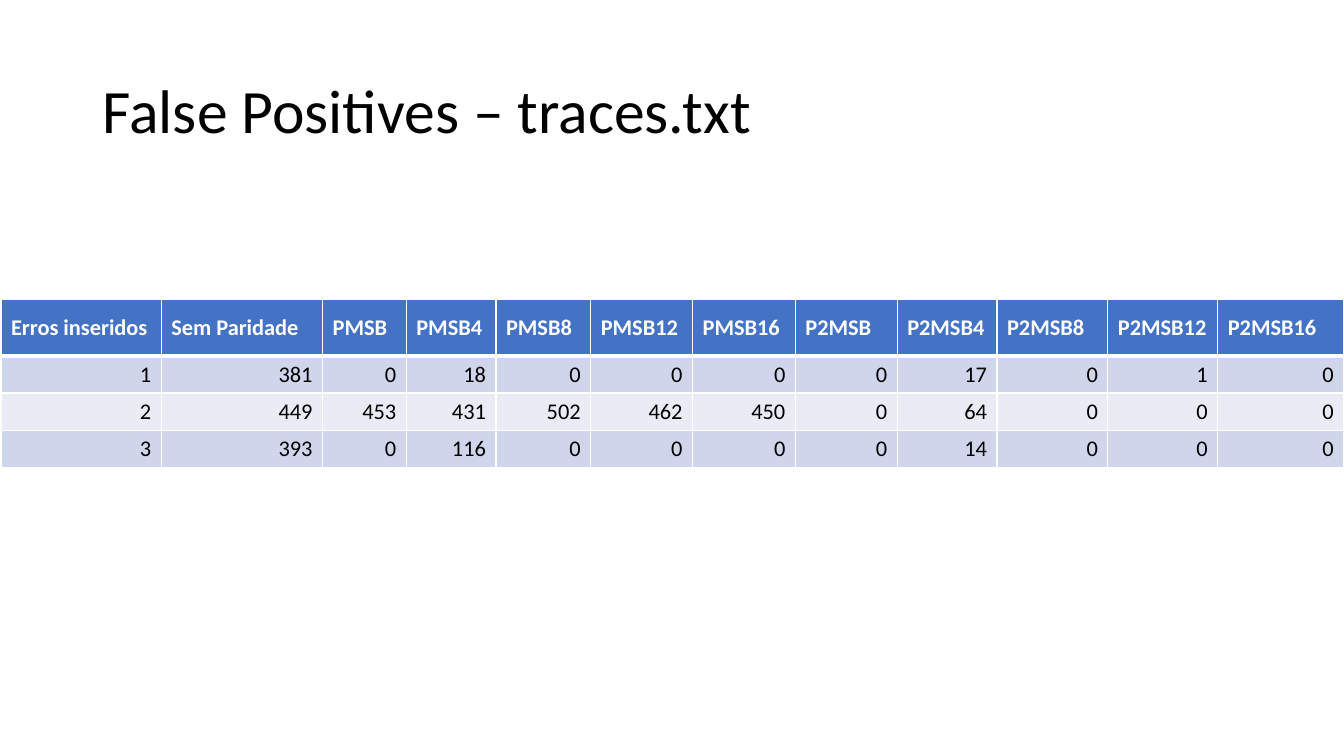
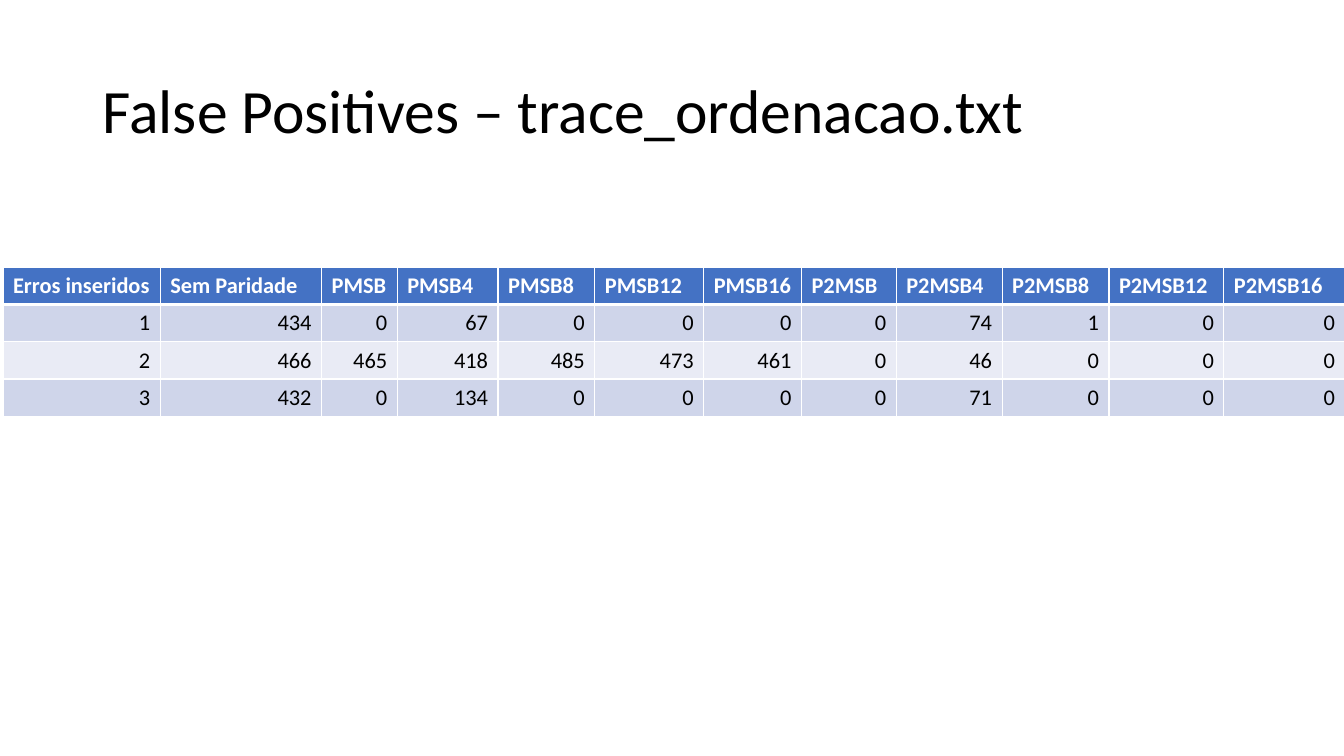
from dataclasses import dataclass

from lxml.etree import SubElement
from pptx import Presentation
from pptx.dml.color import RGBColor
from pptx.enum.text import MSO_ANCHOR, PP_ALIGN
from pptx.oxml.ns import qn
from pptx.slide import Slide
from pptx.table import _Cell as Cell
from pptx.text.text import _Paragraph as Paragraph
from pptx.util import Inches, Pt

COLORS = {
    "text": "000000",
    "header": "4472C4",
    "header_text": "FFFFFF",
    "odd_row": "CFD5EA",
    "even_row": "E9EBF5",
    "border": "FFFFFF",
}
FONT = "Calibri"
TITLE_SIZE, CELL_SIZE = 44, 16
THIN, THICK = 1, 3
ROW_HEIGHT = 0.37
PARITY_SCHEMES = [f"{prefix}{bits}" for prefix in ("PMSB", "P2MSB")
                  for bits in ("", 4, 8, 12, 16)]
HEADERS = ["Erros inseridos", "Sem Paridade", *PARITY_SCHEMES]


@dataclass
class ResultSlide:
    """False positives of one trace file, one row per number of errors."""
    trace: str
    left: float
    top: float
    header_height: float
    widths: list[float]
    counts: list[list[int]]


RESULTS = [
    ResultSlide(
        "traces.txt", 0.01, 2.97, 0.56,
        [1.59, 1.6, 0.83, 0.89, 0.94, 1.01, 1.02, 1.01, 0.99, 1.1, 1.09, 1.25],
        [[381, 0, 18, 0, 0, 0, 0, 17, 0, 1, 0],
         [449, 453, 431, 502, 462, 450, 0, 64, 0, 0, 0],
         [393, 0, 116, 0, 0, 0, 0, 14, 0, 0, 0]],
    ),
    ResultSlide(
        "trace_ordenacao.txt", 0.03, 2.65, ROW_HEIGHT,
        [1.56, 1.6, 0.75, 1, 0.96, 1.08, 0.97, 0.94, 1.05, 1.06, 1.14, 1.2],
        [[434, 0, 67, 0, 0, 0, 0, 74, 1, 0, 0],
         [466, 465, 418, 485, 473, 461, 0, 46, 0, 0, 0],
         [432, 0, 134, 0, 0, 0, 0, 71, 0, 0, 0]],
    ),
]


def format_runs(paragraph: Paragraph, size: int, color: str,
                bold: bool = False) -> None:
    """Apply the shared font to every run of a paragraph."""
    for run in paragraph.runs:
        run.font.name = FONT
        run.font.size = Pt(size)
        run.font.bold = bold
        run.font.color.rgb = RGBColor.from_string(COLORS[color])


def add_title(slide: Slide, text: str) -> None:
    """Add the slide title."""
    title = slide.shapes.add_textbox(
        Inches(0.92), Inches(0.4), Inches(11.5), Inches(1.45))
    frame = title.text_frame
    frame.text = text
    frame.word_wrap = True
    frame.vertical_anchor = MSO_ANCHOR.MIDDLE
    paragraph = frame.paragraphs[0]
    paragraph.line_spacing = 0.9
    format_runs(paragraph, TITLE_SIZE, "text")


def set_borders(cell: Cell, top: int, bottom: int) -> None:
    """Draw the four cell borders; call before the fill is set."""
    properties = cell._tc.get_or_add_tcPr()
    for side, width in (("L", THIN), ("R", THIN), ("T", top), ("B", bottom)):
        line = SubElement(properties, qn(f"a:ln{side}"), w=str(Pt(width)))
        fill = SubElement(line, qn("a:solidFill"))
        SubElement(fill, qn("a:srgbClr"), val=COLORS["border"])


def style_cell(cell: Cell, row: int) -> None:
    """Format a cell as header (row 0) or as banded body."""
    is_header = row == 0
    set_borders(cell, THICK if row == 1 else THIN, THICK if is_header else THIN)
    band = "header" if is_header else "odd_row" if row % 2 else "even_row"
    cell.fill.solid()
    cell.fill.fore_color.rgb = RGBColor.from_string(COLORS[band])
    cell.vertical_anchor = MSO_ANCHOR.MIDDLE
    paragraph = cell.text_frame.paragraphs[0]
    if is_header:
        cell.margin_right = Inches(0.05)
        format_runs(paragraph, CELL_SIZE, "header_text", bold=True)
    else:
        paragraph.alignment = PP_ALIGN.RIGHT
        format_runs(paragraph, CELL_SIZE, "text")


def add_result_table(slide: Slide, result: ResultSlide) -> None:
    """Add the table of false positives."""
    rows = [HEADERS]
    rows += [[errors, *counts] for errors, counts in enumerate(result.counts, 1)]
    heights = [result.header_height] + [ROW_HEIGHT] * len(result.counts)
    table = slide.shapes.add_table(
        len(rows), len(HEADERS), Inches(result.left), Inches(result.top),
        Inches(sum(result.widths)), Inches(sum(heights))).table
    for column, width in zip(table.columns, result.widths):
        column.width = Inches(width)
    for row, (values, height) in enumerate(zip(rows, heights)):
        table.rows[row].height = Inches(height)
        for column, value in enumerate(values):
            cell = table.cell(row, column)
            cell.text_frame.text = str(value)
            style_cell(cell, row)


def main() -> None:
    """Build and save the presentation."""
    presentation = Presentation()
    presentation.slide_width = Inches(13.33)
    presentation.slide_height = Inches(7.5)
    blank = presentation.slide_layouts[6]
    for result in RESULTS:
        slide = presentation.slides.add_slide(blank)
        add_title(slide, f"False Positives – {result.trace}")
        add_result_table(slide, result)
    presentation.save("out.pptx")


main()
